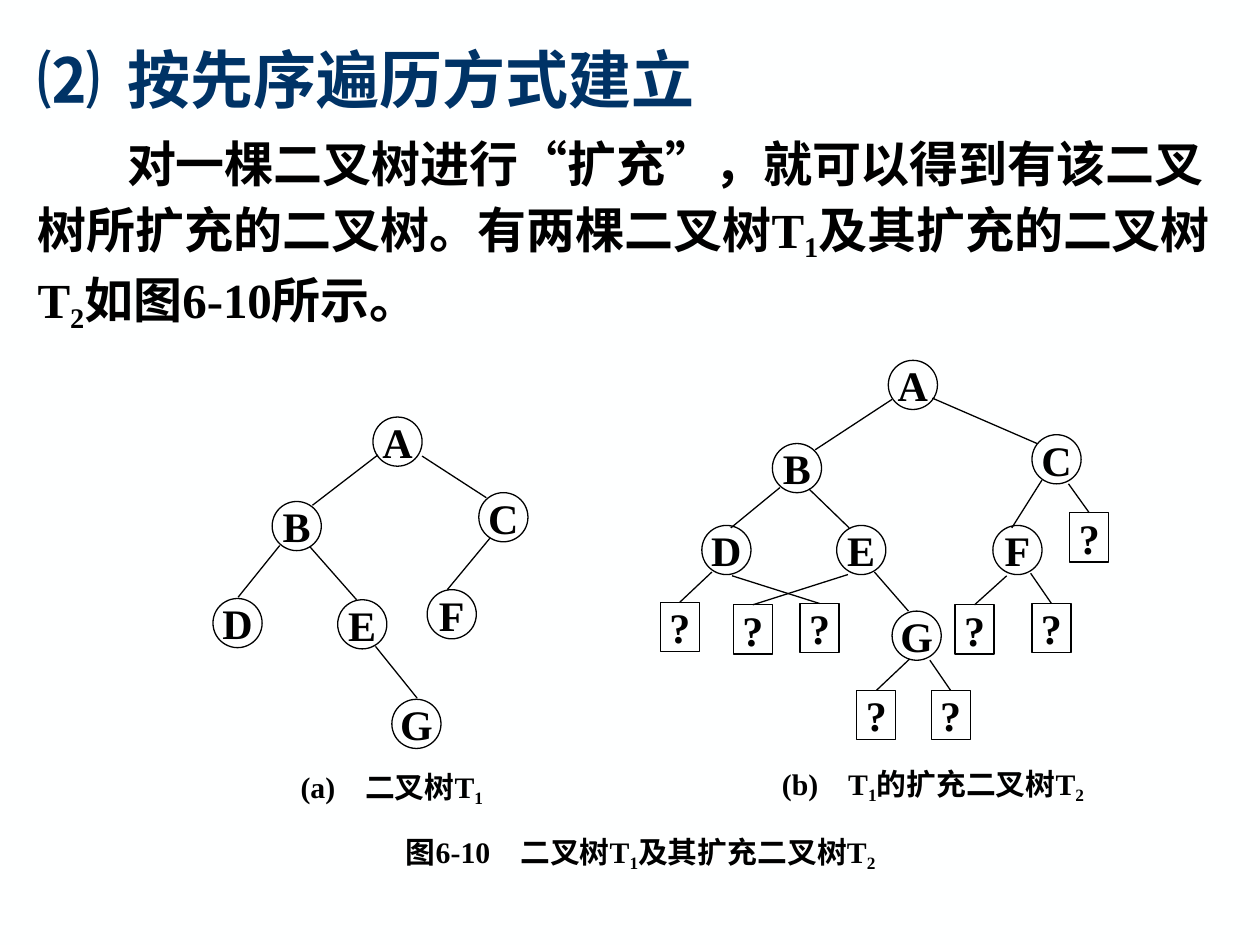
from lxml.etree import SubElement
from pptx import Presentation
from pptx.dml.color import RGBColor as RGB
from pptx.enum.lang import MSO_LANGUAGE_ID as LANG
from pptx.enum.shapes import MSO_CONNECTOR as LINK, MSO_SHAPE as SHAPE
from pptx.enum.text import MSO_ANCHOR as ANCHOR, MSO_AUTO_SIZE as FIT, PP_ALIGN as ALIGN
from pptx.oxml.ns import qn
from pptx.util import Pt

PX = 9144
THEME = {
    "paper": RGB.from_string("FEFFFF"),
    "ink": RGB.from_string("000000"),
    "navy": RGB.from_string("003366"),
    "serif": "Times New Roman",
    "sans": "Arial",
    "cjk": "Noto Sans CJK SC",
    "title": Pt(36),
    "body": Pt(28),
    "label": Pt(24),
    "caption": Pt(17),
    "stroke": Pt(0.75),
}
MARGINS = {"margin_left": 10 * PX, "margin_right": 10 * PX,
           "margin_top": 5 * PX, "margin_bottom": 5 * PX}
BODY_FRAME = {**MARGINS, "word_wrap": True, "auto_size": FIT.SHAPE_TO_FIT_TEXT}
CAPTION_FRAME = {**MARGINS, "word_wrap": True, "vertical_anchor": ANCHOR.MIDDLE}
NODE_FRAME = {**MARGINS, "word_wrap": False, "vertical_anchor": ANCHOR.MIDDLE}


def apply(target, values):
    for name, value in values.items():
        setattr(target, name, value)


def write(paragraph, runs, size, color="ink"):
    for text, face in runs:
        run = paragraph.add_run()
        run.text = text
        apply(run.font, {"size": THEME[size], "bold": True, "name": THEME[face],
                         "language_id": LANG.SIMPLIFIED_CHINESE})
        run.font.color.rgb = THEME[color]
        props = run._r.get_or_add_rPr()
        SubElement(props, qn("a:ea")).set("typeface", THEME["cjk"])
        if text in ("1", "2"):
            props.set("baseline", "-20000")


deck = Presentation()
apply(deck, {"slide_width": 1000 * PX, "slide_height": 750 * PX})
slide = deck.slides.add_slide(deck.slide_layouts[6])
slide.background.fill.solid()
slide.background.fill.fore_color.rgb = THEME["paper"]
shapes = slide.shapes

INDENT = 71 * PX
intro = shapes.add_textbox(20 * PX, 21 * PX, 961 * PX, 250 * PX).text_frame
apply(intro, BODY_FRAME)
heading = intro.paragraphs[0]
apply(heading, {"line_spacing": 1.1, "space_before": Pt(9)})
write(heading, [("⑵\t", "cjk"), ("按先序遍历方式建立", "serif")], "title", "navy")
tabs = SubElement(heading._p.get_or_add_pPr(), qn("a:tabLst"))
apply_tab = SubElement(tabs, qn("a:tab"))
apply_tab.set("pos", str(INDENT))
apply_tab.set("algn", "l")

explanation = intro.add_paragraph()
apply(explanation, {"line_spacing": 1.1, "space_before": Pt(7)})
explanation._p.get_or_add_pPr().set("indent", str(INDENT))
write(explanation, [
    ("对一棵二叉树进行“扩充”，就可以得到有该二叉树所扩充的二叉树。有两棵二叉树T", "serif"),
    ("1", "serif"), ("及其扩充的二叉树T", "serif"), ("2", "serif"),
    ("如图6-10所示。", "serif")], "body")

captions = [
    (272, 656, 473, 0.9, [
        ("图", "sans"), ("6-10　", "serif"), ("二叉树", "sans"), ("T", "serif"),
        ("1", "serif"), ("及其扩充", "sans"), ("二叉树T", "serif"), ("2", "serif")]),
    (201, 605, 220, 1.0, [
        ("(a)　", "serif"), ("二叉树", "sans"), ("T", "serif"), ("1", "serif")]),
    (579, 602, 323, 1.0, [
        ("(b)　T", "serif"), ("1", "serif"), ("的扩充", "sans"),
        ("二叉树T", "serif"), ("2", "serif")]),
]
for left, top, width, spacing, runs in captions:
    caption = shapes.add_textbox(left * PX, top * PX, width * PX, 42 * PX).text_frame
    apply(caption, CAPTION_FRAME)
    apply(caption.paragraphs[0], {"alignment": ALIGN.CENTER, "line_spacing": spacing})
    write(caption.paragraphs[0], runs, "caption")

NODE, LEAF = 39, 31
binary_tree = [("A", 296, 331), ("B", 216, 398), ("C", 380, 391), ("D", 169, 475),
               ("E", 268, 476), ("F", 339, 468), ("G", 311, 555)]
extended_tree = [("A", 705, 286), ("B", 613, 352), ("C", 819, 345), ("D", 557, 417),
                 ("E", 664, 417), ("F", 788, 417), ("G", 708, 485)]
leaves = [
    (524, 478, 565, 454), (635, 479, 581, 457), (582, 480, 673, 456),
    (680, 548, 722, 523), (739, 548, 738, 524), (758, 480, 799, 457),
    (819, 479, 818, 455), (849, 407, 848, 384),
]
branches = [
    (300, 361, 248, 401), (335, 362, 386, 395), (222, 433, 189, 474),
    (246, 434, 283, 476), (389, 427, 355, 468), (298, 513, 331, 554),
    (708, 317, 647, 357), (740, 316, 823, 352), (619, 387, 580, 419),
    (642, 388, 674, 419), (827, 381, 803, 419), (694, 454, 721, 485),
]

vertices = [(SHAPE.OVAL, NODE, *node) for node in binary_tree + extended_tree]
vertices += [(SHAPE.RECTANGLE, LEAF, "?", *leaf[:2]) for leaf in leaves]
drawn = []
for outline, width, label, left, top in vertices:
    vertex = shapes.add_shape(outline, left * PX, top * PX, width * PX, NODE * PX)
    vertex.shadow.inherit = False
    vertex.fill.background()
    vertex.line.color.rgb = THEME["ink"]
    vertex.line.width = THEME["stroke"]
    apply(vertex.text_frame, NODE_FRAME)
    vertex.text_frame.paragraphs[0].alignment = ALIGN.CENTER
    write(vertex.text_frame.paragraphs[0], [(label, "serif")], "label")
    drawn.append(vertex)

edges = [(branch, None) for branch in branches]
edges += [((x, y, left + LEAF // 2, top), box)
          for (left, top, x, y), box in zip(leaves, drawn[-len(leaves):])]
for ends, box in edges:
    edge = shapes.add_connector(LINK.STRAIGHT, *[end * PX for end in ends])
    if box is not None:
        edge.end_connect(box, 0)
    edge.line.color.rgb = THEME["ink"]
    edge.line.width = THEME["stroke"]
    SubElement(edge._element.spPr, qn("a:effectLst"))

deck.save("out.pptx")
